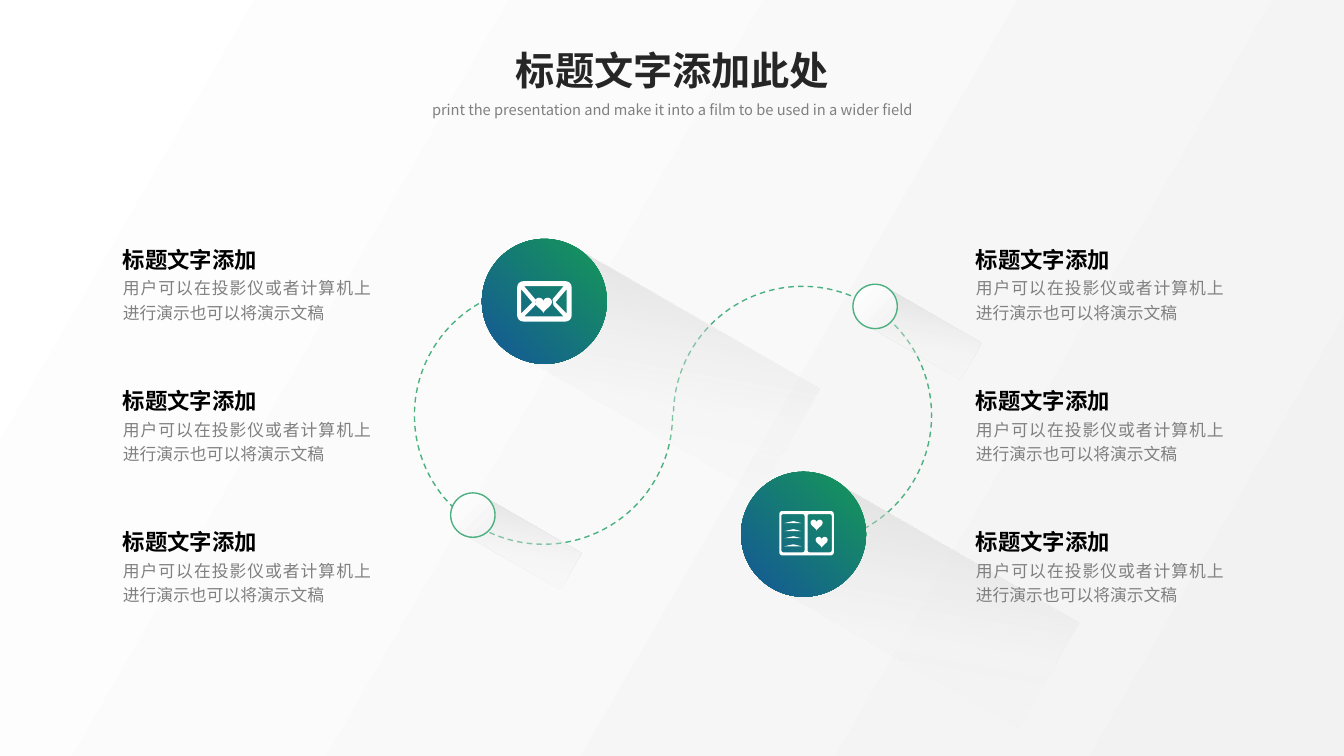
"""Build a slide with an S-shaped dashed path, two icon discs and six captions."""
from math import cos, pi, sin

from pptx import Presentation
from pptx.dml.color import RGBColor
from pptx.enum.dml import MSO_LINE
from pptx.enum.shapes import MSO_SHAPE as SHAPE
from pptx.enum.text import MSO_AUTO_SIZE as AUTO, PP_ALIGN as ALIGN
from pptx.oxml.ns import qn
from pptx.util import Inches, Pt
from lxml.etree import SubElement

FONT = "Noto Sans CJK SC"
COLORS = {
    "white": "FFFFFF", "pale": "F2F2F2", "shade": "BFBFBF", "green": "159857",
    "blue": "155798", "path": "4CB080", "title": "262626", "heading": "000000",
    "body": "808080",
}

prs = Presentation()
prs.slide_width, prs.slide_height = Inches(13.33), Inches(7.5)
s = prs.slides.add_slide(prs.slide_layouts[6])


def add_shape(kind, x, y, w, h, stops=(), angle=0, line=False):
    sp = s.shapes.add_shape(kind, Inches(x), Inches(y), Inches(w), Inches(h))
    sp.shadow.inherit = False
    if stops:
        sp.fill.gradient()
        grad = sp.element.spPr.find(qn("a:gradFill"))
        grad.find(qn("a:lin")).set("ang", str(angle * 60000))
        gs_list = grad.find(qn("a:gsLst"))
        for gs in list(gs_list):
            gs_list.remove(gs)
        for pos, color, alpha in stops:
            gs = SubElement(gs_list, qn("a:gs"), pos=str(pos * 1000))
            clr = SubElement(gs, qn("a:srgbClr"), val=COLORS[color])
            SubElement(clr, qn("a:alpha"), val=str(alpha * 1000))
    else:
        sp.fill.background()
    if line:
        sp.line.color.rgb = RGBColor.from_string(COLORS["path"])
        sp.line.width = Pt(1)
    else:
        sp.line.fill.background()
    return sp


def add_text(text, x, y, w, h, size, color, align, bold=False, spacing=1.2):
    tf = s.shapes.add_textbox(Inches(x), Inches(y), Inches(w), Inches(h)).text_frame
    tf.word_wrap = True
    tf.auto_size = AUTO.SHAPE_TO_FIT_TEXT
    p = tf.paragraphs[0]
    p.alignment, p.line_spacing = align, spacing
    r = p.add_run()
    r.text = text
    r.font.size, r.font.bold, r.font.name = Pt(size), bold, FONT
    r.font.color.rgb = RGBColor.from_string(COLORS[color])
    SubElement(r.font._element, qn("a:ea"), typeface=FONT)


add_shape(SHAPE.RECTANGLE, 0, 0, 13.33, 7.5,
          [(0, "white", 95), (100, "pale", 95)], 30)

for x, rotation, start in [(4.11, 90, 162), (6.68, 270, 162.97)]:
    arc = add_shape(SHAPE.ARC, x, 2.84, 2.56, 2.56, line=True)
    arc.rotation = rotation
    arc.adjustments[0], arc.adjustments[1] = start, 108
    arc.line.dash_style = MSO_LINE.DASH

fade = [(0, "shade", 50), (61, "pale", 34), (100, "pale", 0)]
for x, y, w, h in [(5.14, 3.06, 2.88, 1.2), (7.71, 5.38, 2.88, 1.2),
                   (8.57, 3.09, 1.14, 0.42), (4.6, 5.17, 1.14, 0.42)]:
    add_shape(SHAPE.RECTANGLE, x, y, w, h, fade, 70).rotation = 30

for x, y in [(4.47, 4.89), (8.46, 2.82)]:
    add_shape(SHAPE.OVAL, x, y, 0.44, 0.44,
              [(0, "white", 100), (100, "pale", 100)], 45, line=True)

for x, y in [(7.35, 4.68), (4.78, 2.37)]:
    add_shape(SHAPE.OVAL, x, y, 1.24, 1.24,
              [(0, "green", 100), (100, "blue", 100)], 135)

envelope = [
    [(5.62, 2.87), (5.51, 3), (5.62, 3.11)],
    [(5.17, 2.87), (5.17, 3.11), (5.28, 3)],
    [(5.2, 2.84), (5.31, 2.97), (5.31, 3.03), (5.2, 3.14),
     (5.59, 3.14), (5.49, 3.03), (5.48, 2.97), (5.59, 2.84)],
]
book = [[(7.78, y), (7.82, y - 0.01), (7.87, y - 0.02), (7.91, y - 0.01), (7.95, y)]
        for y in (5.19, 5.27, 5.34, 5.42)]

for icon, left, top, right, bottom, radius in [
        (envelope, 5.13, 2.79, 5.67, 3.19, 0.06), (book, 7.73, 5.07, 8.27, 5.51, 0.03),
        (book, 7.75, 5.1, 7.98, 5.48, 0.02), (book, 8.01, 5.1, 8.25, 5.48, 0.02)]:
    corners = [(right - radius, bottom - radius), (left + radius, bottom - radius),
               (left + radius, top + radius), (right - radius, top + radius)]
    icon.append([(cx + radius * cos((i + j / 4) * pi / 2),
                  cy + radius * sin((i + j / 4) * pi / 2))
                 for i, (cx, cy) in enumerate(corners) for j in range(5)])

for icon, cx, cy, size in [(envelope, 5.39, 3.03, 0.17), (book, 8.1, 5.21, 0.12),
                           (book, 8.15, 5.38, 0.12)]:
    angles = [i * pi / 16 for i in range(32)]
    icon.append([(cx + size * sin(t) ** 3 / 2,
                  cy - size * (2.5 + 13 * cos(t) - 5 * cos(2 * t)
                               - 2 * cos(3 * t) - cos(4 * t)) / 32) for t in angles])

for icon in (book, envelope):
    outlines = [[(Inches(x), Inches(y)) for x, y in outline] for outline in icon]
    builder = s.shapes.build_freeform(*outlines[0][0])
    builder.add_line_segments(outlines[0][1:], close=True)
    for outline in outlines[1:]:
        builder.move_to(*outline[0])
        builder.add_line_segments(outline[1:], close=True)
    sp = builder.convert_to_shape()
    sp.shadow.inherit = False
    sp.fill.solid()
    sp.fill.fore_color.rgb = RGBColor.from_string(COLORS["white"])
    sp.line.fill.background()

for x in (9.58, 1.12):
    for row in range(3):
        y = 2.34 + 1.4 * row
        add_text("用户可以在投影仪或者计算机上进行演示也可以将演示文稿",
                 x, y + 0.33, 2.66, 0.59, 12, "body", ALIGN.JUSTIFY)
        add_text("标题文字添加", x, y, 2.24, 0.4, 16, "heading", ALIGN.JUSTIFY, bold=True)

add_text("标题文字添加此处", 4.87, 0.41, 3.6, 0.57, 28, "title", ALIGN.CENTER,
         bold=True, spacing=1.0)
add_text("print the presentation and make it into a film to be used in a wider field",
         4, 0.92, 5.34, 0.3, 10.5, "body", ALIGN.CENTER)

prs.save("out.pptx")
